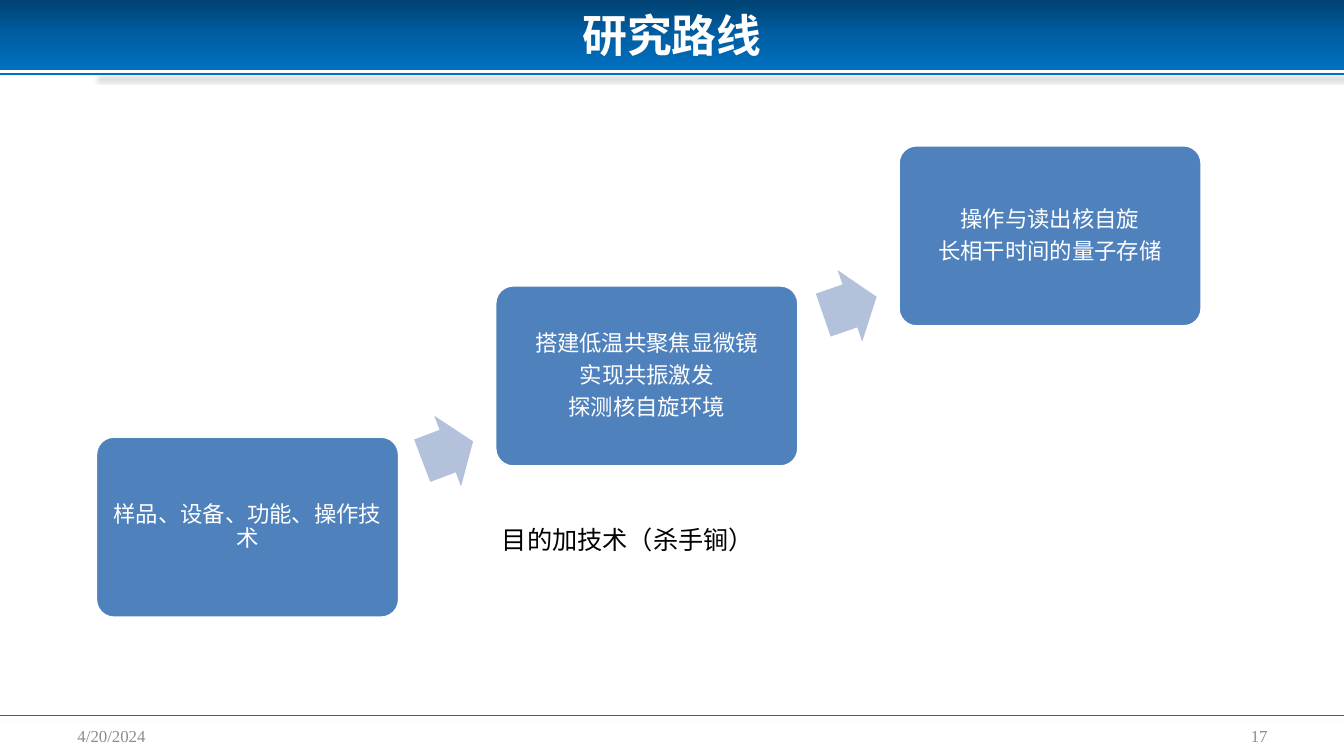
from pptx import Presentation
from pptx import util as u
from pptx.dml.color import RGBColor
from pptx.enum import shapes, text
from pptx.oxml import parse_xml
from pptx.oxml.ns import nsdecls, qn

WHITE = RGBColor(0xFF, 0xFF, 0xFF)
BLACK = RGBColor(0, 0, 0)
GRAY = RGBColor(0x8C, 0x8C, 0x8C)
BLUE = RGBColor(0x00, 0x70, 0xC0)
STEP_BLUE = RGBColor(0x4F, 0x81, 0xBD)
ARROW_BLUE = RGBColor(0xB3, 0xC1, 0xDB)
BAND_STOPS = [
    (0, RGBColor(0x00, 0x42, 0x72)),
    (50, RGBColor(0x00, 0x5E, 0xA2)),
    (100, BLUE),
]
CJK = "Noto Sans CJK SC"
STEP_SIZE = (3.01, 1.8)
STEPS = [
    (0.95, 4.33, ["样品、设备、功能、操作技术"]),
    (4.91, 2.83, ["搭建低温共聚焦显微镜", "实现共振激发", "探测核自旋环境"]),
    (8.91, 1.44, ["操作与读出核自旋", "长相干时间的量子存储"]),
]
ARROWS = [(4.17, 4.1, 0.54, 0.75, 339.2), (8.15, 2.66, 0.56, 0.75, 341)]


def inches(*values):
    return [u.Inches(v) for v in values]


def effects(alpha=None, blur=0, dist=0):
    shadow = ""
    if alpha:
        shadow = (
            f'<a:outerShdw blurRad="{u.Pt(blur)}" dist="{u.Pt(dist)}" dir="5400000" '
            f'algn="t" rotWithShape="0"><a:srgbClr val="000000">'
            f'<a:alpha val="{alpha * 1000}"/></a:srgbClr></a:outerShdw>'
        )
    return parse_xml(f'<a:effectLst {nsdecls("a")}>{shadow}</a:effectLst>')


def add_run(p, words, size, color, font="Arial", bold=False):
    r = p.add_run()
    r.text = words
    r.font.size = u.Pt(size)
    r.font.name = font
    r.font.bold = bold
    r.font.color.rgb = color
    ea = parse_xml(f'<a:ea {nsdecls("a")} typeface="{CJK}"/>')
    r.font._element.find(qn("a:latin")).addnext(ea)
    return r


def add_shape(s, kind, box, color):
    sp = s.shapes.add_shape(kind, *inches(*box))
    sp.shadow.inherit = False
    sp.fill.solid()
    sp.fill.fore_color.rgb = color
    sp.line.fill.background()
    return sp


def add_rule(s, x1, x2, y, width, shadow=()):
    line = s.shapes.add_connector(
        shapes.MSO_CONNECTOR.STRAIGHT, *inches(x1, y, x2, y))
    line.line.color.rgb = BLUE
    line.line.width = u.Pt(width)
    line._element.spPr.append(effects(*shadow))


def add_label(s, box, words, size, color, font="Arial",
              align=text.PP_ALIGN.LEFT, anchor=text.MSO_ANCHOR.TOP):
    tf = s.shapes.add_textbox(*inches(*box)).text_frame
    tf.word_wrap = True
    tf.vertical_anchor = anchor
    p = tf.paragraphs[0]
    p.alignment = align
    add_run(p, words, size, color, font)


def add_header(s, box):
    left, top, width, height = box
    band = add_shape(s, shapes.MSO_SHAPE.RECTANGLE, box, BLUE)
    stops = "".join(
        f'<a:gs pos="{pos * 1000}"><a:srgbClr val="{color}"/></a:gs>'
        for pos, color in BAND_STOPS)
    gradient = parse_xml(
        f'<a:gradFill {nsdecls("a")} rotWithShape="1"><a:gsLst>{stops}</a:gsLst>'
        f'<a:lin ang="5400000" scaled="0"/></a:gradFill>')
    spPr = band._element.spPr
    spPr.replace(spPr.find(qn("a:solidFill")), gradient)

    rule_y = top + height + 0.04
    add_rule(s, left + 0.96, left + width, rule_y, 1.5, (40, 4, 3))
    add_rule(s, left, left + 1.04, rule_y, 1.5)

    title = s.shapes.title
    title.left, title.top, title.width, title.height = inches(
        left + 0.76, top - 0.15, 11.81, 0.98)
    tf = title.text_frame
    tf.vertical_anchor = text.MSO_ANCHOR.MIDDLE
    p = tf.paragraphs[0]
    p.alignment = text.PP_ALIGN.CENTER
    r = add_run(p, "研究路线", 32, WHITE, CJK, True)
    r.font._element.find(qn("a:solidFill")).addnext(effects(45, 4, 3))
    s.shapes._spTree.append(title._element)


def add_footer(s, box):
    left, top, width, height = box
    add_rule(s, left, left + width, top, 1, (35, 3.1, 1.8))
    for x, words, align in [
        (0.67, "4/20/2024", text.PP_ALIGN.LEFT),
        (9.56, "17", text.PP_ALIGN.RIGHT),
    ]:
        add_label(s, (left + x, top, 3.11, height), words, 12, GRAY,
                  "Times New Roman", align, text.MSO_ANCHOR.MIDDLE)


def add_step(s, box, lines):
    sp = add_shape(s, shapes.MSO_SHAPE.ROUNDED_RECTANGLE, box, STEP_BLUE)
    sp.adjustments[0] = 0.1
    sp.line.color.rgb = WHITE
    sp.line.width = u.Pt(2)
    tf = sp.text_frame
    tf.word_wrap = True
    tf.vertical_anchor = text.MSO_ANCHOR.MIDDLE
    tf.margin_left = tf.margin_right = u.Inches(0.07)
    tf.margin_top = tf.margin_bottom = u.Inches(0.07)
    for i, words in enumerate(lines):
        p = tf.add_paragraph() if i else tf.paragraphs[0]
        p.alignment = text.PP_ALIGN.CENTER
        p.line_spacing = 0.9
        p.space_after = u.Pt(5.6)
        add_run(p, words, 16, WHITE)


def add_arrow(s, box, rotation):
    sp = add_shape(s, shapes.MSO_SHAPE.RIGHT_ARROW, box, ARROW_BLUE)
    sp.adjustments[0] = 0.6
    sp.adjustments[1] = 0.5
    sp.rotation = rotation


def add_route(s):
    for left, top, lines in STEPS:
        add_step(s, (left, top, *STEP_SIZE), lines)
    for *box, rotation in ARROWS:
        add_arrow(s, box, rotation)
    add_label(s, (4.88, 5.15, 6.72, 0.4), "目的加技术（杀手锏）", 18, BLACK)


def main():
    prs = Presentation()
    prs.slide_width, prs.slide_height = inches(13.33, 7.5)
    s = prs.slides.add_slide(prs.slide_layouts[5])
    add_header(s, (0, 0, 13.33, 0.69))
    add_footer(s, (0, 7.1, 13.33, 0.4))
    add_route(s)
    prs.save("out.pptx")


if __name__ == "__main__":
    main()
